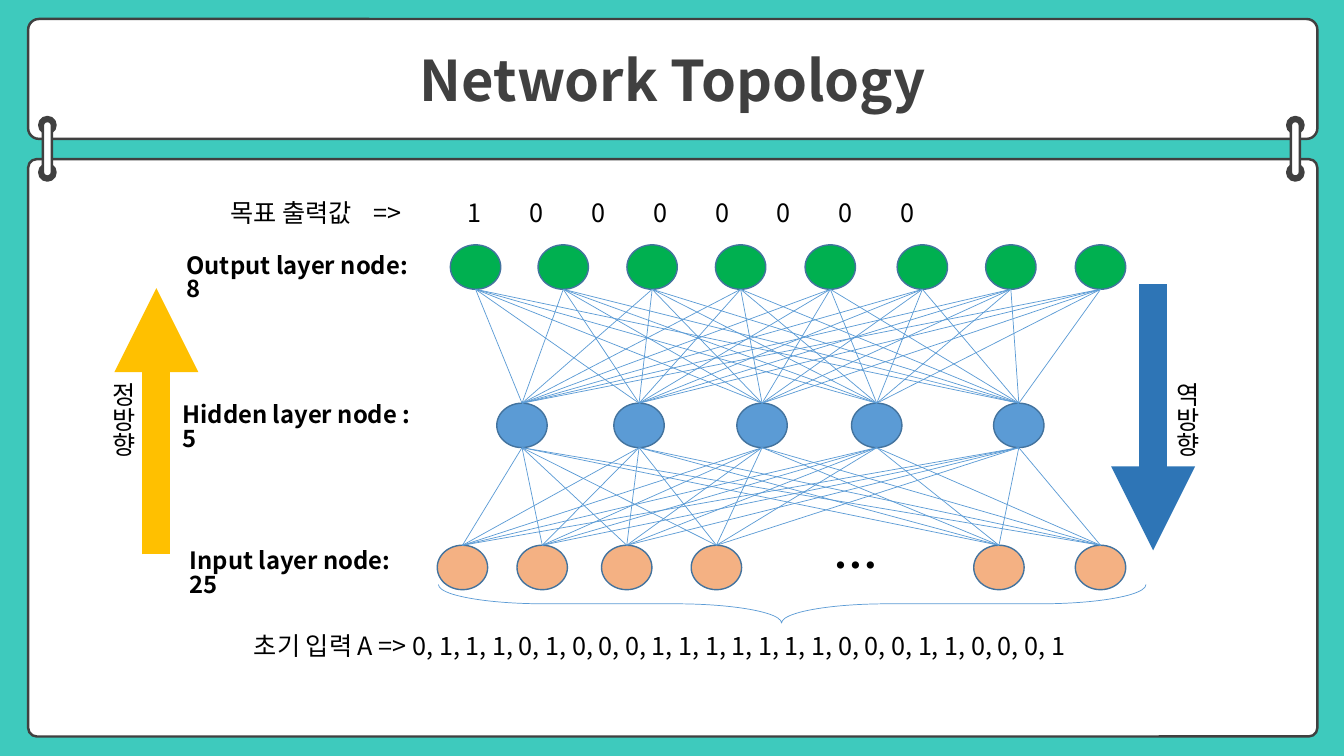
"""Build the Network Topology slide: a three-layer network with its data flow."""
from itertools import product

from lxml.etree import SubElement
from pptx import Presentation
from pptx.dml.color import RGBColor
from pptx.enum.shapes import MSO_CONNECTOR, MSO_SHAPE
from pptx.enum.text import MSO_ANCHOR, PP_ALIGN
from pptx.oxml.ns import qn
from pptx.util import Cm, Pt

FONT = "Noto Sans CJK KR"
DARK, WHITE, BLACK = "404040", "FFFFFF", "000000"
NODE_LINE, LINK = "43739E", "5B9BD5"
NODE_WIDTH, NODE_HEIGHT = 1.27, 1.12
DIGIT_PITCH = 1.56
INPUT_VALUES = "0, 1, 1, 1, 0, 1, 0, 0, 0, 1, 1, 1, 1, 1, 1, 1, 0, 0, 0, 1, 1, 0, 0, 0, 1"


def color(hex_string):
    return RGBColor.from_string(hex_string)


def style_paragraph(paragraph, size, text_color=BLACK, bold=False):
    font = paragraph.font
    font.name, font.size, font.bold = FONT, Pt(size), bold
    font.color.rgb = color(text_color)
    defaults = paragraph._p.pPr.find(qn("a:defRPr"))
    SubElement(defaults, qn("a:ea"), typeface=FONT)


def add_tab_stops(paragraph, positions):
    properties = paragraph._p.get_or_add_pPr()
    tab_list = properties.makeelement(qn("a:tabLst"))
    properties.insert(0, tab_list)
    for position in positions:
        SubElement(tab_list, qn("a:tab"), pos=str(Cm(position)), algn="l")


def add_text(slide, text, left, top, width, height, size=18, bold=False,
             inset=True, wrap=True, spacing=None, tabs=(), vertical=False):
    box = slide.shapes.add_textbox(Cm(left), Cm(top), Cm(width), Cm(height))
    frame = box.text_frame
    frame.word_wrap = wrap
    if not inset:
        frame.margin_left = frame.margin_right = 0
        frame.margin_top = frame.margin_bottom = 0
    if vertical:
        frame._txBody.bodyPr.set("vert", "eaVert")
    paragraph = frame.paragraphs[0]
    paragraph.text = text
    style_paragraph(paragraph, size, bold=bold)
    if spacing:
        paragraph.line_spacing = spacing
    if tabs:
        add_tab_stops(paragraph, tabs)


def add_shape(slide, kind, left, top, width, height, fill, line=DARK, weight=1.75, adjustments=()):
    shape = slide.shapes.add_shape(kind, Cm(left), Cm(top), Cm(width), Cm(height))
    shape.shadow.inherit = False
    if fill:
        shape.fill.solid()
        shape.fill.fore_color.rgb = color(fill)
    else:
        shape.fill.background()
    shape.line.color.rgb = color(line)
    shape.line.width = Pt(weight)
    for index, value in enumerate(adjustments):
        shape.adjustments[index] = value
    return shape


def add_line(slide, start, end, line_color, weight, arrow=False):
    connector = slide.shapes.add_connector(MSO_CONNECTOR.STRAIGHT, *start, *end)
    connector.line.color.rgb = color(line_color)
    connector.line.width = Pt(weight)
    if arrow:
        SubElement(connector.line._get_or_add_ln(), qn("a:tailEnd"), type="triangle")
    SubElement(connector._element.spPr, qn("a:effectLst"))
    return connector


def add_layer(slide, lefts, top, fill):
    return [add_shape(slide, MSO_SHAPE.OVAL, left, top, NODE_WIDTH, NODE_HEIGHT, fill, NODE_LINE, 1)
            for left in lefts]


def link_layers(slide, lower_layer, upper_layer):
    for lower, upper in product(lower_layer, upper_layer):
        start = (lower.left + lower.width // 2, lower.top)
        end = (upper.left + upper.width // 2, upper.top + upper.height)
        add_line(slide, start, end, LINK, 0.5).begin_connect(lower, 0)


def add_ring(slide, left):
    rounded = MSO_SHAPE.ROUNDED_RECTANGLE
    for top in (2.95, 4.14):
        add_shape(slide, rounded, left, top, 0.41, 0.41, DARK, adjustments=[0.5])
    add_shape(slide, rounded, left + 0.09, 3.05, 0.23, 1.4, WHITE, adjustments=[0.5])


def add_title(slide, text, left, top, width, height):
    title = slide.shapes.title
    title.element.getparent().append(title.element)
    title.left, title.top, title.width, title.height = Cm(left), Cm(top), Cm(width), Cm(height)
    title.text_frame.text = text
    title.text_frame.vertical_anchor = MSO_ANCHOR.MIDDLE
    paragraph = title.text_frame.paragraphs[0]
    paragraph.alignment = PP_ALIGN.CENTER
    style_paragraph(paragraph, 40, DARK, bold=True)


def add_cards(slide):
    rounded = MSO_SHAPE.ROUNDED_RECTANGLE
    header = (0.71, 0.48, 32.49, 3.02)
    add_shape(slide, rounded, 0.71, 4.01, 32.49, 14.55, WHITE, adjustments=[0.015])
    add_shape(slide, rounded, *header, WHITE, adjustments=[0.089])
    add_title(slide, "Network Topology", *header)
    for left in (0.99, 32.44):
        add_ring(slide, left)


def add_network(slide):
    inputs = add_layer(slide, (11.02, 13.03, 15.16, 17.42, 24.54, 27.1), 13.74, "F4B183")
    hidden = add_layer(slide, (12.52, 15.47, 18.57, 21.46, 25.04), 10.16, "5B9BD5")
    outputs = add_layer(slide, (11.35, 13.56, 15.8, 18.03, 20.29, 22.61, 24.84, 27.1), 6.17, "00B050")
    link_layers(slide, inputs, hidden)
    link_layers(slide, hidden, outputs)
    brace = add_shape(slide, MSO_SHAPE.LEFT_BRACE, 19.48, 6.3, 0.97, 17.83, None, LINK, 0.5,
                      [2.76, 0.485])
    brace.rotation = 270
    add_text(slide, "…", 21.01, 13.56, 1.12, 1.37, 32, True, inset=False, wrap=False)


def add_labels(slide):
    for text, left, top, width in (
        ("Output layer node: 8", 4.7, 6.43, 5.89),
        ("Hidden layer node : 5", 4.6, 10.19, 6.02),
        ("Input layer node: 25", 4.78, 13.87, 5.51),
    ):
        add_text(slide, text, left, top, width, 0.74, 17, True, inset=False, spacing=0.83)
    add_text(slide, "초기 입력 A => " + INPUT_VALUES, 6.15, 15.75, 22.91, 1.02)
    add_text(slide, "목표 출력값\t=>", 5.56, 4.85, 5.54, 1.02, tabs=[3.6])
    add_text(slide, "\t".join("10000000"), 11.53, 4.85, 17.83, 1.02,
             tabs=[DIGIT_PITCH * step for step in range(1, 8)])


def add_directions(slide):
    for text, text_left, x, start, end, arrow_color in (
        ("정방향", 2.34, 3.94, 13.97, 7.26, "FFC000"),
        ("역방향", 29.16, 29.06, 7.16, 13.87, "2E75B6"),
    ):
        add_line(slide, (Cm(x), Cm(start)), (Cm(x), Cm(end)), arrow_color, 20, arrow=True)
        add_text(slide, text, text_left, 9.38, 1.27, 2.31, wrap=False, vertical=True)


def main():
    presentation = Presentation()
    presentation.slide_width, presentation.slide_height = Cm(33.87), Cm(19.05)
    slide = presentation.slides.add_slide(presentation.slide_layouts[5])
    slide.background.fill.solid()
    slide.background.fill.fore_color.rgb = color("3ECABD")
    add_cards(slide)
    add_network(slide)
    add_labels(slide)
    add_directions(slide)
    presentation.save("out.pptx")


if __name__ == "__main__":
    main()
